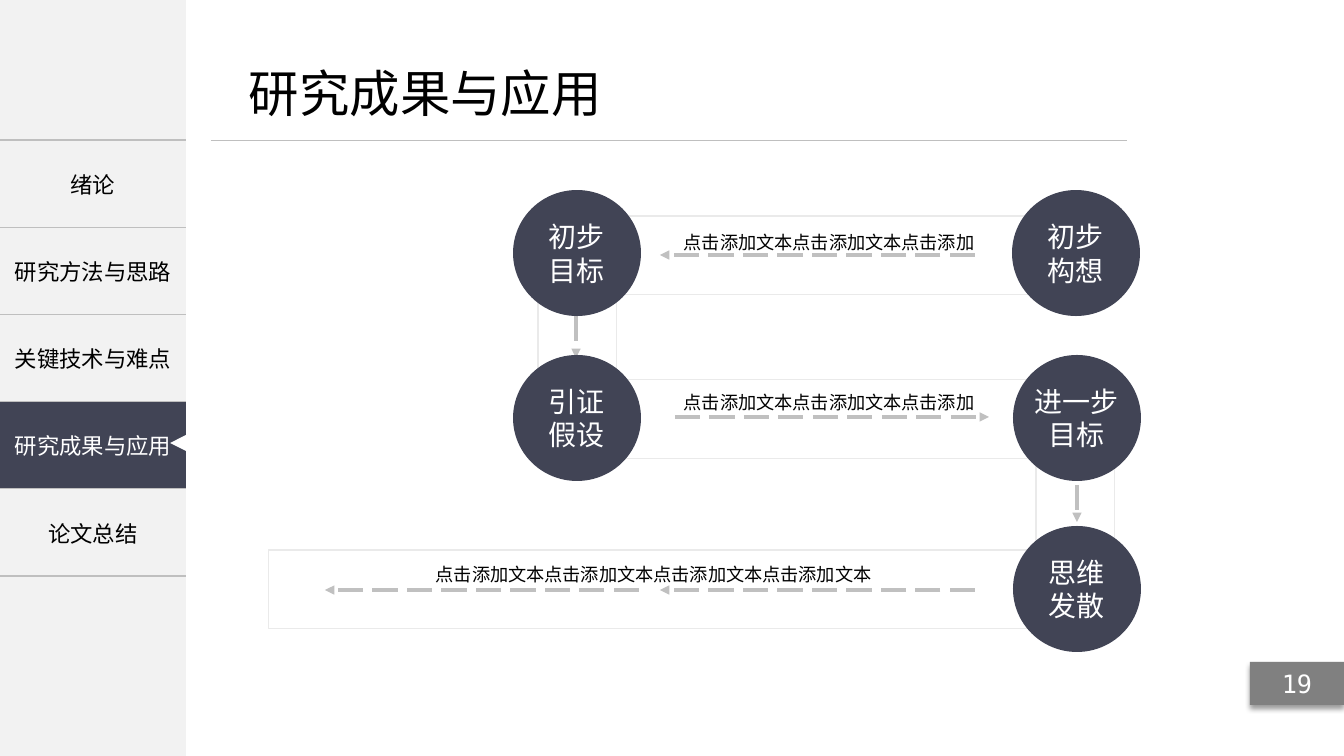
from lxml import etree
from pptx import Presentation, util as u
from pptx.dml.color import RGBColor
from pptx.enum import shapes, text
from pptx.oxml import parse_xml
from pptx.oxml.ns import nsdecls, qn

# Content, lengths in px
CJK, MONO = "Noto Sans CJK SC", "DejaVu Sans Mono"
DARK, PALE, WHITE, BLACK = "414455", "F2F2F2", "FFFFFF", "000000"
TITLE = "研究成果与应用"
CHAPTERS = ["绪论", "研究方法与思路", "关键技术与难点", "研究成果与应用", "论文总结"]
CURRENT = 3
NAV_W, NAV_TOP, NAV_H = 186, 140, 436
DIAMETER_W, DIAMETER_H = 128, 126
STEPS = [  # lines, left, top
    (["初步", "构想"], 1012, 190),
    (["初步", "目标"], 513, 190),
    (["引证", "假设"], 513, 355),
    (["进一步", "目标"], 1013, 355),
    (["思维", "发散"], 1013, 526),
]
BANDS = [  # frame (left, top, width, height), arrows (x1, y1, x2, y2)
    ((269, 550, 845, 79), [(975, 590, 660, 590), (639, 590, 325, 590)]),
    ((569, 380, 546, 79), [(675, 417, 989, 417)]),
    ((1036, 417, 79, 216), [(1077, 485, 1077, 522)]),
    ((613, 216, 501, 79), [(975, 255, 660, 255)]),
    ((538, 217, 79, 242), [(576, 316, 576, 358)]),
]
PHRASE = "点击添加文本"
LABELS = [  # text, left, top, width
    (PHRASE * 2 + "点击添加", 663, 220, 332),
    (PHRASE * 2 + "点击添加", 663, 380, 332),
    (PHRASE * 4, 332, 552, 643),
]
PX = 914400 / 100.8


def px(*values):
    return [u.Emu(round(v * PX)) for v in values]


def rgb(value):
    return RGBColor.from_string(value)


def write(tf, lines, size, color, name=CJK, inset=5, spacing=None,
          align=text.PP_ALIGN.CENTER, **frame):
    margin = px(inset)[0]
    layout = dict(margin_left=margin, margin_right=margin, margin_top=margin,
                  margin_bottom=margin, word_wrap=True,
                  vertical_anchor=text.MSO_ANCHOR.MIDDLE)
    for key, value in {**layout, **frame}.items():
        setattr(tf, key, value)
    for i, line in enumerate(lines):
        p = tf.add_paragraph() if i else tf.paragraphs[0]
        p.alignment, p.line_spacing = align, spacing
        r = p.add_run()
        r.text = line
        for key, value in dict(size=u.Pt(size), name=name, bold=False).items():
            setattr(r.font, key, value)
        r.font.color.rgb = rgb(color)
        etree.SubElement(r.font._element, qn("a:ea"), typeface=name)


def add_shape(kind, box, fill, line=None):
    sp = s.shapes.add_shape(kind, *px(*box))
    sp.shadow.inherit = False
    sp.fill.solid()
    sp.fill.fore_color.rgb = rgb(fill)
    if line:
        sp.line.color.rgb, sp.line.width = rgb(line), u.Pt(0.75)
    else:
        sp.line.fill.background()
    return sp


def add_line(ends, color, width, arrow=False):
    cn = s.shapes.add_connector(shapes.MSO_CONNECTOR.STRAIGHT, *px(*ends))
    cn.line.color.rgb, cn.line.width = rgb(color), u.Pt(width)
    if arrow:
        ln = cn.line._get_or_add_ln()
        etree.SubElement(ln, qn("a:prstDash"), val="lgDash")
        etree.SubElement(ln, qn("a:tailEnd"), type="triangle")
    etree.SubElement(cn._element.spPr, qn("a:effectLst"))


SHAPE = shapes.MSO_SHAPE
prs = Presentation()
prs.slide_width, prs.slide_height = px(1344, 756)
s = prs.slides.add_slide(prs.slide_layouts[5])

# Title and rule
title = s.shapes.title
title.left, title.top, title.width, title.height = px(244, 57, 364, 80)
write(title.text_frame, [TITLE], 36, BLACK, align=text.PP_ALIGN.LEFT,
      word_wrap=False, auto_size=text.MSO_AUTO_SIZE.NONE,
      vertical_anchor=text.MSO_ANCHOR.TOP)
add_line((211, 140, 1127, 140), "BFBFBF", 0.5)

# Chapter navigation
add_shape(SHAPE.RECTANGLE, (0, 0, NAV_W, 756), PALE)
table = s.shapes.add_table(len(CHAPTERS), 1, *px(0, NAV_TOP, NAV_W, NAV_H)).table
table.first_row = table.horz_banding = False
for i, chapter in enumerate(CHAPTERS):
    cell = table.cell(i, 0)
    margin = px(5)[0]
    write(cell.text_frame, [chapter], 16, WHITE if i == CURRENT else BLACK)
    for side in ("left", "right", "top", "bottom"):
        setattr(cell, "margin_" + side, margin)
    cell.vertical_anchor = text.MSO_ANCHOR.MIDDLE
    tcPr = cell._tc.get_or_add_tcPr()
    for side in ("lnL", "lnR"):
        etree.SubElement(etree.SubElement(tcPr, qn("a:" + side), w="0"), qn("a:noFill"))
    for side in ("lnT", "lnB"):
        tcPr.append(parse_xml(
            f'<a:{side} {nsdecls("a")} w="12700"><a:solidFill>'
            f'<a:srgbClr val="BFBFBF"/></a:solidFill></a:{side}>'))
    cell.fill.solid()
    cell.fill.fore_color.rgb = rgb(DARK if i == CURRENT else PALE)
add_shape(SHAPE.ISOSCELES_TRIANGLE, (170, 435, 16, 16), WHITE).rotation = 270

# Page number
page = add_shape(SHAPE.RECTANGLE, (1250, 662, 94, 43), "808080")
write(page.text_frame, ["19"], 18, WHITE, MONO)
page._element.spPr.find(qn("a:effectLst")).append(parse_xml(
    f'<a:outerShdw {nsdecls("a")} blurRad="50800" dist="38100" dir="5400000">'
    '<a:srgbClr val="000000"><a:alpha val="40000"/></a:srgbClr></a:outerShdw>'))

# Bands with dashed arrows
for frame, arrows in BANDS:
    add_shape(SHAPE.RECTANGLE, frame, WHITE, "EAEAEA")
    for ends in arrows:
        add_line(ends, "C0C0C0", 2.25, arrow=True)

# Step circles
for lines, left, top in STEPS:
    circle = add_shape(SHAPE.OVAL, (left, top, DIAMETER_W, DIAMETER_H), DARK)
    write(circle.text_frame, lines, 20, WHITE, inset=0, word_wrap=False)

# Band labels
for label, left, top, width in LABELS:
    box = s.shapes.add_textbox(*px(left, top, width, 33))
    write(box.text_frame, [label], 13, BLACK, inset=4, spacing=1.5)

prs.save("out.pptx")
